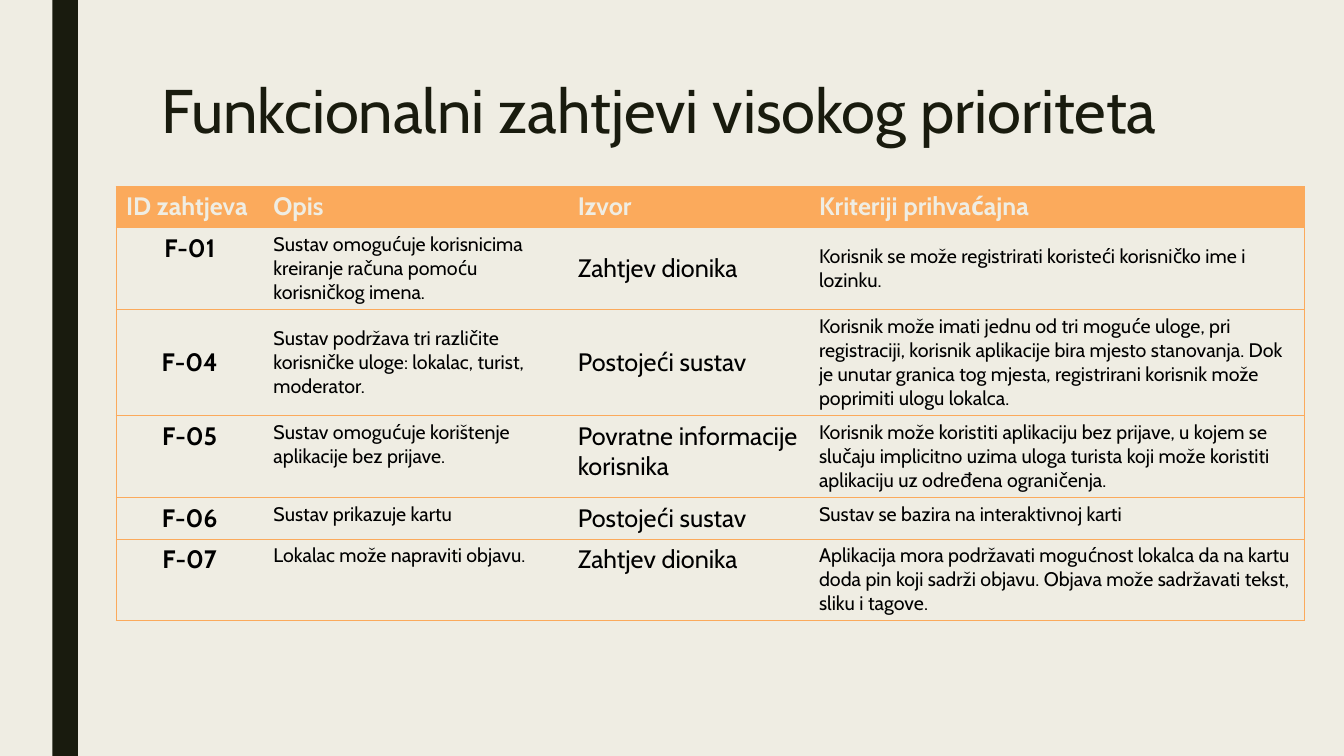
from lxml.etree import SubElement
from pptx import Presentation
from pptx.dml.color import RGBColor
from pptx.enum.shapes import MSO_SHAPE
from pptx.enum.text import MSO_ANCHOR, MSO_AUTO_SIZE, PP_ALIGN
from pptx.oxml.ns import qn
from pptx.util import Inches, Pt

CREAM = RGBColor(0xEF, 0xED, 0xE3)
DARK = RGBColor(0x19, 0x1B, 0x0E)
ORANGE = RGBColor(0xFB, 0xAA, 0x5C)
BLACK = RGBColor(0, 0, 0)
FONT = "Cabin"
WIDTH, HEIGHT = Inches(13.33), Inches(7.5)

TOP, MIDDLE = MSO_ANCHOR.TOP, MSO_ANCHOR.MIDDLE
COLUMN_SHARES = (0.124, 0.256, 0.203, 0.417)
ROW_SHARES = (0.095, 0.19, 0.245, 0.19, 0.095, 0.185)
HEADINGS = ("ID zahtjeva", "Opis", "Izvor", "Kriteriji prihvaćajna")
REQUIREMENTS = (
    ("F-01", "Sustav omogućuje korisnicima kreiranje računa pomoću korisničkog imena.",
     "Zahtjev dionika",
     "Korisnik se može registrirati koristeći korisničko ime i lozinku."),
    ("F-04", "Sustav podržava tri različite korisničke uloge: lokalac, turist, moderator.",
     "Postojeći sustav",
     "Korisnik može imati jednu od tri moguće uloge, pri registraciji, korisnik "
     "aplikacije bira mjesto stanovanja. Dok je unutar granica tog mjesta, "
     "registrirani korisnik može poprimiti ulogu lokalca."),
    ("F-05", "Sustav omogućuje korištenje aplikacije bez prijave.",
     "Povratne informacije korisnika",
     "Korisnik može koristiti aplikaciju bez prijave, u kojem se slučaju implicitno "
     "uzima uloga turista koji može koristiti aplikaciju uz određena ograničenja."),
    ("F-06", "Sustav prikazuje kartu", "Postojeći sustav",
     "Sustav se bazira na interaktivnoj karti"),
    ("F-07", "Lokalac može napraviti objavu.", "Zahtjev dionika",
     "Aplikacija mora podržavati mogućnost lokalca da na kartu doda pin koji sadrži "
     "objavu. Objava može sadržavati tekst, sliku i tagove."),
)
ANCHORS = {"F-01": (TOP, TOP, MIDDLE, MIDDLE), "F-04": (MIDDLE,) * 4}
COLUMN_FORMATS = (
    {"size": 18, "bold": True, "align": PP_ALIGN.CENTER},
    {"size": 14},
    {"size": 18},
    {"size": 14},
)


def share_box(left, top, width, height):
    return (round(left * WIDTH), round(top * HEIGHT),
            round(width * WIDTH), round(height * HEIGHT))


def write(frame, text, size=18, color=BLACK, bold=False, align=PP_ALIGN.LEFT,
          anchor=TOP, spacing=None):
    frame.word_wrap = True
    frame.vertical_anchor = anchor
    paragraph = frame.paragraphs[0]
    paragraph.alignment = align
    if spacing:
        paragraph.line_spacing = spacing
    run = paragraph.add_run()
    run.text = text
    run.font.name = FONT
    run.font.size = Pt(size)
    run.font.bold = bold
    run.font.color.rgb = color


def set_borders(cell, visible):
    properties = cell._tc.get_or_add_tcPr()
    for side in ("L", "R", "T", "B"):
        line = SubElement(properties, qn(f"a:ln{side}"), w=str(Pt(0.5)))
        if side in visible:
            fill = SubElement(line, qn("a:solidFill"))
            SubElement(fill, qn("a:srgbClr"), val=str(ORANGE))
        else:
            SubElement(line, qn("a:noFill"))


def add_side_bar(slide, box):
    bar = slide.shapes.add_shape(MSO_SHAPE.RECTANGLE, *box)
    bar.shadow.inherit = False
    bar.fill.solid()
    bar.fill.fore_color.rgb = DARK
    bar.line.fill.background()


def place_title(slide, box, text):
    title = slide.shapes.title
    title.left, title.top, title.width, title.height = box
    title.text_frame.auto_size = MSO_AUTO_SIZE.NONE
    write(title.text_frame, text, size=44, color=DARK, spacing=0.89)


def add_requirements_table(slide, box):
    width, height = box[2:]
    table = slide.shapes.add_table(len(ROW_SHARES), len(COLUMN_SHARES), *box).table
    table.horz_banding = False
    for column, share in zip(table.columns, COLUMN_SHARES):
        column.width = round(width * share)
    for row, share in zip(table.rows, ROW_SHARES):
        row.height = round(height * share)

    last = len(COLUMN_SHARES) - 1
    for row_index, texts in enumerate((HEADINGS, *REQUIREMENTS)):
        anchors = ANCHORS.get(texts[0], (TOP,) * 4)
        for column_index, text in enumerate(texts):
            cell = table.cell(row_index, column_index)
            outer = {0: "L", last: "R"}.get(column_index, "")
            set_borders(cell, "TB" + outer)
            if row_index == 0:
                cell.fill.solid()
                cell.fill.fore_color.rgb = ORANGE
                write(cell.text_frame, text, color=CREAM, bold=True)
            else:
                cell.fill.background()
                write(cell.text_frame, text, **COLUMN_FORMATS[column_index])
            cell.vertical_anchor = anchors[column_index]


def build_requirements_slide(presentation):
    slide = presentation.slides.add_slide(presentation.slide_layouts[5])
    slide.background.fill.solid()
    slide.background.fill.fore_color.rgb = CREAM
    add_side_bar(slide, share_box(0.039, 0, 0.019, 1))
    place_title(slide, share_box(0.1125, 0.1, 0.788, 0.216),
                "Funkcionalni zahtjevi visokog prioriteta")
    add_requirements_table(slide, share_box(0.0863, 0.2467, 0.8845, 0.572))


def main():
    presentation = Presentation()
    presentation.slide_width, presentation.slide_height = WIDTH, HEIGHT
    build_requirements_slide(presentation)
    presentation.save("out.pptx")


if __name__ == "__main__":
    main()
